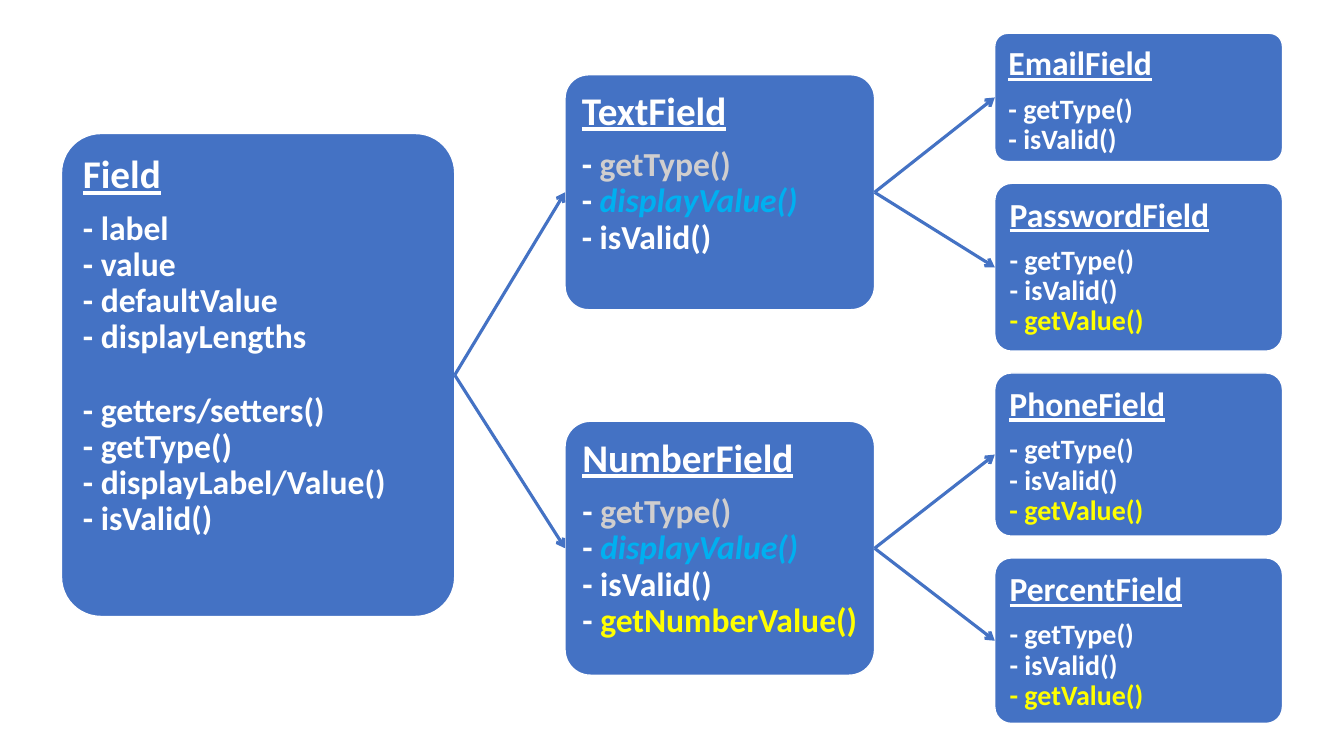
from dataclasses import dataclass, field

from lxml import etree
from pptx import Presentation
from pptx.dml.color import RGBColor
from pptx.enum.shapes import MSO_CONNECTOR, MSO_SHAPE
from pptx.enum.text import MSO_ANCHOR, PP_ALIGN
from pptx.oxml.ns import qn
from pptx.util import Cm, Pt

ROUNDED = MSO_SHAPE.ROUNDED_RECTANGLE
STRAIGHT = MSO_CONNECTOR.STRAIGHT
TOP, LEFT = MSO_ANCHOR.TOP, PP_ALIGN.LEFT
LEFT_SITE, RIGHT_SITE = 1, 3


@dataclass(frozen=True)
class Theme:
    font: str = "Calibri"
    box: str = "4472C4"
    outline: str = "FFFFFF"
    text: str = "FFFFFF"
    inherited: str = "D0CECE"
    abstract: str = "00B0F0"
    added: str = "FFFF00"
    title_sizes: tuple = (28, 28, 24)
    body_sizes: tuple = (24, 24, 20)
    line_spacing: float = 0.9
    title_gap: float = 0.35
    outline_width: float = 1
    arrow_width: float = 2.25


@dataclass
class ClassNode:
    name: str
    height: float
    members: list
    children: list = field(default_factory=list)


THEME = Theme()

# Left edge and width of each column, in cm
COLUMNS = [(1.55, 9.91), (14.24, 7.8), (25.07, 7.25)]
TREE_TOP, LEAF_GAP = 0.84, 0.55


# A member is a list of (text, colour role) runs; None opens a gap
def plain(*names):
    return [[(f"- {name}", "text")] for name in names]


def marked(name, role):
    return [("- ", "text"), (name, role)]


LEAF = plain("getType()", "isValid()")
LEAF_VALUE = LEAF + [[("- getValue()", "added")]]
BRANCH = [marked("getType()", "inherited"),
          marked("displayValue()", "abstract"), *plain("isValid()")]

HIERARCHY = ClassNode(
    "Field", 12.17,
    plain("label", "value", "defaultValue", "displayLengths") + [None]
    + plain("getters/setters()", "getType()", "displayLabel/Value()",
            "isValid()"),
    [ClassNode("TextField", 5.92, BRANCH,
               [ClassNode("EmailField", 3.23, LEAF),
                ClassNode("PasswordField", 4.23, LEAF_VALUE)]),
     ClassNode("NumberField", 6.4,
               BRANCH + [marked("getNumberValue()", "added")],
               [ClassNode("PhoneField", 4.11, LEAF_VALUE),
                ClassNode("PercentField", 4.17, LEAF_VALUE)])])


def set_all(target, values):
    for name, value in values.items():
        setattr(target, name, value)


def rgb(role):
    return RGBColor.from_string(getattr(THEME, role))


def add_line(tf, runs, size, first=False, **style):
    p = tf.paragraphs[0] if first else tf.add_paragraph()
    set_all(p, {"alignment": LEFT, "line_spacing": THEME.line_spacing,
                "space_before": Pt(0), "space_after": Pt(0)})
    for text, role in runs:
        r = p.add_run()
        r.text = text
        set_all(r.font, {"name": THEME.font, "size": Pt(size), "bold": True,
                         "italic": role == "abstract", **style})
        r.font.color.rgb = rgb(role)
    return p


def draw_class(slide, node, level, left, top, width):
    """Draw one class box with its name and members."""
    sp = slide.shapes.add_shape(ROUNDED, Cm(left), Cm(top), Cm(width),
                                Cm(node.height))
    sp.adjustments[0] = 0.1
    sp.shadow.inherit = False
    sp.fill.solid()
    sp.fill.fore_color.rgb = rgb("box")
    sp.line.color.rgb = rgb("outline")
    sp.line.width = Pt(THEME.outline_width)

    tf = sp.text_frame
    set_all(tf, {"word_wrap": True, "vertical_anchor": TOP,
                 "margin_left": Cm(0.25), "margin_top": Cm(0.25),
                 "margin_right": Cm(0.04), "margin_bottom": Cm(0.04)})
    title_size, size = THEME.title_sizes[level], THEME.body_sizes[level]
    p = add_line(tf, [(node.name, "text")], title_size, True, underline=True)
    p.space_after = Pt(title_size * THEME.title_gap)

    after_gap = False
    for member in node.members:
        if member is None:
            after_gap = True
            continue
        p = add_line(tf, member, size)
        if after_gap:
            p.space_before = Pt(size * 1.1)
            after_gap = False
    return sp


def draw_arrow(slide, parent, child):
    """Join the right side of the parent to the left side of the child."""
    cx = slide.shapes.add_connector(
        STRAIGHT, parent.left + parent.width, parent.top + parent.height // 2,
        child.left, child.top + child.height // 2)
    cx.begin_connect(parent, RIGHT_SITE)
    cx.end_connect(child, LEFT_SITE)
    cx.line.color.rgb = rgb("box")
    cx.line.width = Pt(THEME.arrow_width)
    etree.SubElement(cx.line._get_or_add_ln(), qn("a:tailEnd"), type="arrow")
    etree.SubElement(cx._element.spPr, qn("a:effectLst"))


def draw_tree(slide, node, top, level=0):
    """Draw a branch from top; return its box, its span and the next top."""
    left, width = COLUMNS[level]
    boxes, spans, next_top = [], [], top
    for child in node.children:
        box, span, next_top = draw_tree(slide, child, next_top, level + 1)
        boxes.append(box)
        spans.append(span)

    # A parent is centred on the span of its children
    if spans:
        top = (spans[0][0] + spans[-1][1] - node.height) / 2
    else:
        next_top = top + node.height + LEAF_GAP
    sp = draw_class(slide, node, level, left, top, width)
    for box in boxes:
        draw_arrow(slide, sp, box)
    return sp, (top, top + node.height), next_top


prs = Presentation()
prs.slide_width, prs.slide_height = Cm(33.87), Cm(19.05)
slide = prs.slides.add_slide(prs.slide_layouts[6])
draw_tree(slide, HIERARCHY, TREE_TOP)
prs.save("out.pptx")
